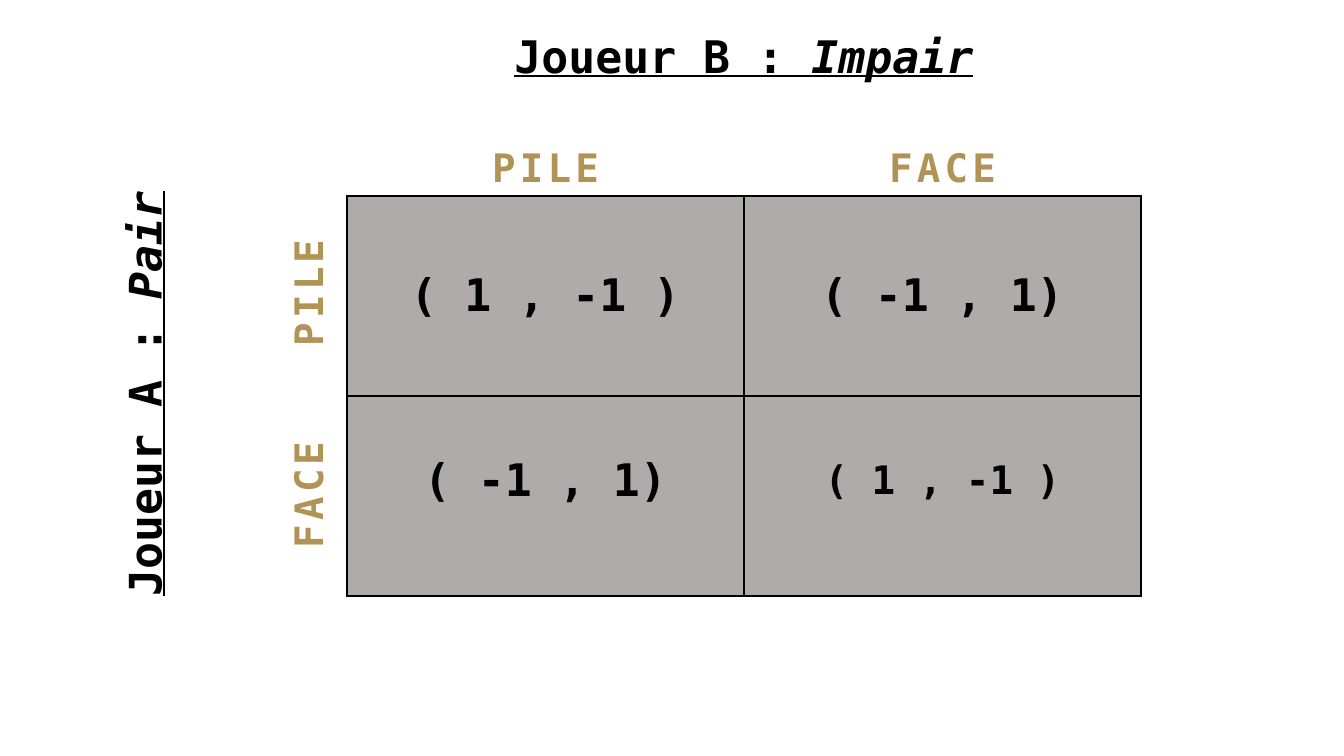
import dataclasses
import lxml.etree
import pptx
import pptx.dml.color
import pptx.enum.text
import pptx.oxml.ns
import pptx.util

PIXELS_PER_INCH = 100.8
ALIGN = pptx.enum.text.PP_ALIGN


@dataclasses.dataclass(frozen=True)
class Theme:
    font: str = "DejaVu Sans Mono"
    ink: str = "000000"
    gold: str = "B19455"
    cell: str = "AFABAB"
    large: int = 32
    small: int = 28
    spacing: int = 3
    outer_line: float = 1
    inner_line: float = 2.25


@dataclasses.dataclass(frozen=True)
class Words:
    text: str
    size: int
    color: str
    underline: bool = False
    italic: bool = False
    spacing: int = 0


@dataclasses.dataclass(frozen=True)
class Label:
    left: int
    top: int
    width: int
    height: int
    words: tuple[Words, ...]
    vertical: bool = False
    align: ALIGN = ALIGN.CENTER


@dataclasses.dataclass(frozen=True)
class Payoff:
    row: int
    column: int
    text: str
    size: int
    bottom_margin: int = 5


THEME = Theme()
GRID_LEFT, GRID_TOP = 347, 196
COLUMN_WIDTH, ROW_HEIGHT = 397, 200
CHOICES = ("PILE", "FACE")
PAYOFFS = (
    Payoff(0, 0, "( 1 , -1 )", THEME.large),
    Payoff(0, 1, "( -1 , 1)", THEME.large),
    Payoff(1, 0, "( -1 , 1)", THEME.large, 35),
    Payoff(1, 1, "( 1 , -1 )", THEME.small, 35),
)


def px(pixels: int) -> pptx.util.Emu:
    return pptx.util.Emu(round(pixels * 914400 / PIXELS_PER_INCH))


def rgb(color: str) -> pptx.dml.color.RGBColor:
    return pptx.dml.color.RGBColor.from_string(color)


def add_words(paragraph, words: Words) -> None:
    run = paragraph.add_run()
    run.text = words.text
    font = run.font
    font.name = THEME.font
    font.size = pptx.util.Pt(words.size)
    font.bold = True
    font.italic = words.italic
    font.underline = words.underline
    font.color.rgb = rgb(words.color)
    if words.spacing:
        run._r.get_or_add_rPr().set("spc", str(words.spacing * 100))


def add_label(slide, label: Label) -> None:
    shape = slide.shapes.add_textbox(
        px(label.left), px(label.top), px(label.width), px(label.height))
    frame = shape.text_frame
    frame.word_wrap = True
    frame.auto_size = pptx.enum.text.MSO_AUTO_SIZE.SHAPE_TO_FIT_TEXT
    if label.vertical:
        frame._txBody.bodyPr.set("vert", "vert270")
    paragraph = frame.paragraphs[0]
    paragraph.alignment = label.align
    for words in label.words:
        add_words(paragraph, words)


def add_border(cell, side: str, points: float) -> None:
    qn = pptx.oxml.ns.qn
    line = lxml.etree.SubElement(
        cell._tc.get_or_add_tcPr(), qn(f"a:ln{side}"), w=str(pptx.util.Pt(points)))
    fill = lxml.etree.SubElement(line, qn("a:solidFill"))
    lxml.etree.SubElement(fill, qn("a:srgbClr"), val=THEME.ink)


def fill_cell(cell, payoff: Payoff) -> None:
    inner_sides = ("RL"[payoff.column], "BT"[payoff.row])
    for side in "LRTB":
        add_border(cell, side, THEME.inner_line if side in inner_sides else THEME.outer_line)
    cell.fill.solid()
    cell.fill.fore_color.rgb = rgb(THEME.cell)
    cell.vertical_anchor = pptx.enum.text.MSO_ANCHOR.MIDDLE
    cell.margin_bottom = px(payoff.bottom_margin)
    paragraph = cell.text_frame.paragraphs[0]
    paragraph.alignment = ALIGN.CENTER
    add_words(paragraph, Words(payoff.text, payoff.size, THEME.ink))


def add_payoff_table(slide) -> None:
    table = slide.shapes.add_table(
        2, 2, px(GRID_LEFT), px(GRID_TOP), px(2 * COLUMN_WIDTH), px(2 * ROW_HEIGHT)).table
    table.first_row = False
    table.horz_banding = False
    for payoff in PAYOFFS:
        fill_cell(table.cell(payoff.row, payoff.column), payoff)


def player(name: str, role: str) -> tuple[Words, ...]:
    return (
        Words(name, THEME.large, THEME.ink, underline=True),
        Words(role, THEME.large, THEME.ink, underline=True, italic=True),
    )


def main() -> None:
    presentation = pptx.Presentation()
    presentation.slide_width = px(1344)
    presentation.slide_height = px(756)
    slide = presentation.slides.add_slide(presentation.slide_layouts[6])
    add_payoff_table(slide)
    add_label(slide, Label(GRID_LEFT, 24, 2 * COLUMN_WIDTH, 65, player("Joueur B : ", "Impair")))
    add_label(slide, Label(112, 149, 75, 457, player("Joueur A : ", "Pair"), True, ALIGN.LEFT))
    for index, choice in enumerate(CHOICES):
        words = (Words(choice, THEME.small, THEME.gold, spacing=THEME.spacing),)
        add_label(slide, Label(GRID_LEFT + index * COLUMN_WIDTH, 138, COLUMN_WIDTH, 57, words))
        add_label(slide, Label(279, 192 + index * 202, 67, 202, words, True))
    presentation.save("out.pptx")


main()
